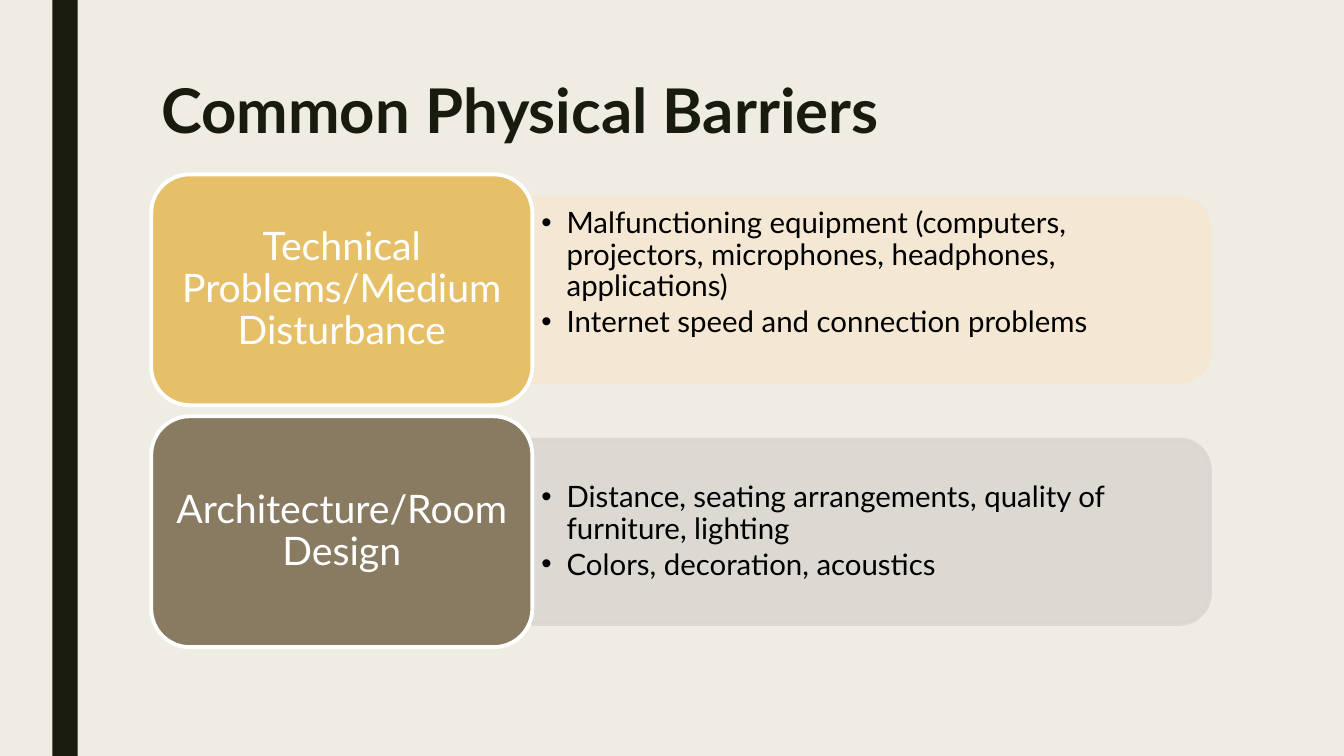
from lxml import etree
from pptx import Presentation
from pptx.dml.color import RGBColor
from pptx.enum import shapes, text
from pptx.oxml.ns import qn
from pptx.util import Inches, Pt


def paint(color_format, color, opacity=None):
    color_format.solid()
    color_format.fore_color.rgb = RGBColor.from_string(color)
    if opacity is not None:
        node = color_format._xPr.find(qn("a:solidFill"))[0]
        etree.SubElement(node, qn("a:alpha"), val=str(opacity * 1000))


def write(shape, lines, frame_format, paragraph_format, font_format, color):
    frame = shape.text_frame
    frame.text = "\n".join(lines)
    for name, value in frame_format.items():
        setattr(frame, name, value)
    for paragraph in frame.paragraphs:
        for name, value in paragraph_format.items():
            setattr(paragraph, name, value)
        font = paragraph.runs[0].font
        for name, value in font_format.items():
            setattr(font, name, value)
        paint(font.fill, color)


DARK, WHITE, BLACK = "191B0E", "FFFFFF", "000000"
FONT = "Lato"
ROW_TOP, ROW_PITCH = 1.73, 2.4
CARD_LEFT, CARD_WIDTH, CARD_HEIGHT = 1.5, 3.78, 2.29
PANEL_LENGTH, PANEL_HEIGHT = 6.72, 1.83
LIST_WIDTH, LIST_HEIGHT = 6.63, 1.65

# Each row: card text, card color, panel color, list shift, list
rows = [
    ("Technical Problems/Medium Disturbance", "E6C069", "F5E8D4", -0.16,
     ["Malfunctioning equipment (computers, projectors, microphones, "
      "headphones, applications)",
      "Internet speed and connection problems"]),
    ("Architecture/Room Design", "897B61", "DAD7D2", 0,
     ["Distance, seating arrangements, quality of furniture, lighting",
      "Colors, decoration, acoustics"]),
]

frame_base = {"word_wrap": True, "auto_size": text.MSO_AUTO_SIZE.NONE}
title_frame = {**frame_base, "vertical_anchor": text.MSO_ANCHOR.TOP}
card_frame = {**frame_base, "vertical_anchor": text.MSO_ANCHOR.MIDDLE,
              "margin_left": Inches(0.12), "margin_right": Inches(0.12),
              "margin_top": Inches(0.06), "margin_bottom": Inches(0.06)}
list_frame = {**card_frame,
              "margin_left": Inches(0.09), "margin_right": Inches(0.09),
              "margin_top": Inches(0.04), "margin_bottom": Inches(0.04)}
title_paragraph = {"alignment": text.PP_ALIGN.LEFT, "line_spacing": 0.89}
card_paragraph = {"alignment": text.PP_ALIGN.CENTER, "line_spacing": 0.9}
list_paragraph = {"alignment": text.PP_ALIGN.LEFT, "line_spacing": 0.9,
                  "space_before": Pt(0), "space_after": Pt(3)}

presentation = Presentation()
presentation.slide_width = Inches(13.33)
presentation.slide_height = Inches(7.5)
slide = presentation.slides.add_slide(
    presentation.slide_layouts.get_by_name("Two Content"))
paint(slide.background.fill, "EFEDE3")

# Side bar
bar = slide.shapes.add_shape(shapes.MSO_SHAPE.RECTANGLE, Inches(0.52), 0,
                             Inches(0.25), presentation.slide_height)
bar.shadow.inherit = False
paint(bar.fill, DARK)
bar.line.fill.background()

# Title
title = slide.shapes.title
title.left, title.top = Inches(1.5), Inches(0.75)
title.width, title.height = Inches(10.5), Inches(0.83)
write(title, ["Common Physical Barriers"], title_frame, title_paragraph,
      {"name": FONT, "size": Pt(44), "bold": True}, DARK)

# Rows: panel, list and card
for index, (label, card_color, panel_color, shift, items) in enumerate(rows):
    card_top = ROW_TOP + index * ROW_PITCH
    middle = card_top + CARD_HEIGHT / 2
    card_right = CARD_LEFT + CARD_WIDTH

    # The panel stands upright and is turned so its round corners face right
    panel = slide.shapes.add_shape(
        shapes.MSO_SHAPE.ROUND_2_SAME_RECTANGLE,
        Inches(card_right + (PANEL_LENGTH - PANEL_HEIGHT) / 2),
        Inches(middle - PANEL_LENGTH / 2),
        Inches(PANEL_HEIGHT), Inches(PANEL_LENGTH))
    panel.rotation = 90
    panel.shadow.inherit = False
    paint(panel.fill, panel_color, 90)
    panel.line.width = Pt(2.75)
    paint(panel.line.fill, panel_color, 90)

    # Bring the list placeholder in front of its panel
    body = slide.placeholders[index + 1]
    body.element.getparent().append(body.element)
    body.left = Inches(card_right)
    body.top = Inches(middle - LIST_HEIGHT / 2 + shift)
    body.width, body.height = Inches(LIST_WIDTH), Inches(LIST_HEIGHT)
    write(body, items, list_frame, list_paragraph,
          {"name": FONT, "size": Pt(21)}, BLACK)
    for paragraph in body.text_frame.paragraphs:
        properties = paragraph._p.get_or_add_pPr()
        properties.set("marL", str(Inches(0.25)))
        properties.set("indent", str(-Inches(0.25)))
        etree.SubElement(properties, qn("a:buChar"), char="•")

    card = slide.shapes.add_shape(
        shapes.MSO_SHAPE.ROUNDED_RECTANGLE, Inches(CARD_LEFT),
        Inches(card_top), Inches(CARD_WIDTH), Inches(CARD_HEIGHT))
    card.shadow.inherit = False
    paint(card.fill, card_color)
    card.line.width = Pt(2.75)
    paint(card.line.fill, WHITE)
    write(card, [label], card_frame, card_paragraph,
          {"name": FONT, "size": Pt(28)}, WHITE)

presentation.save("out.pptx")
